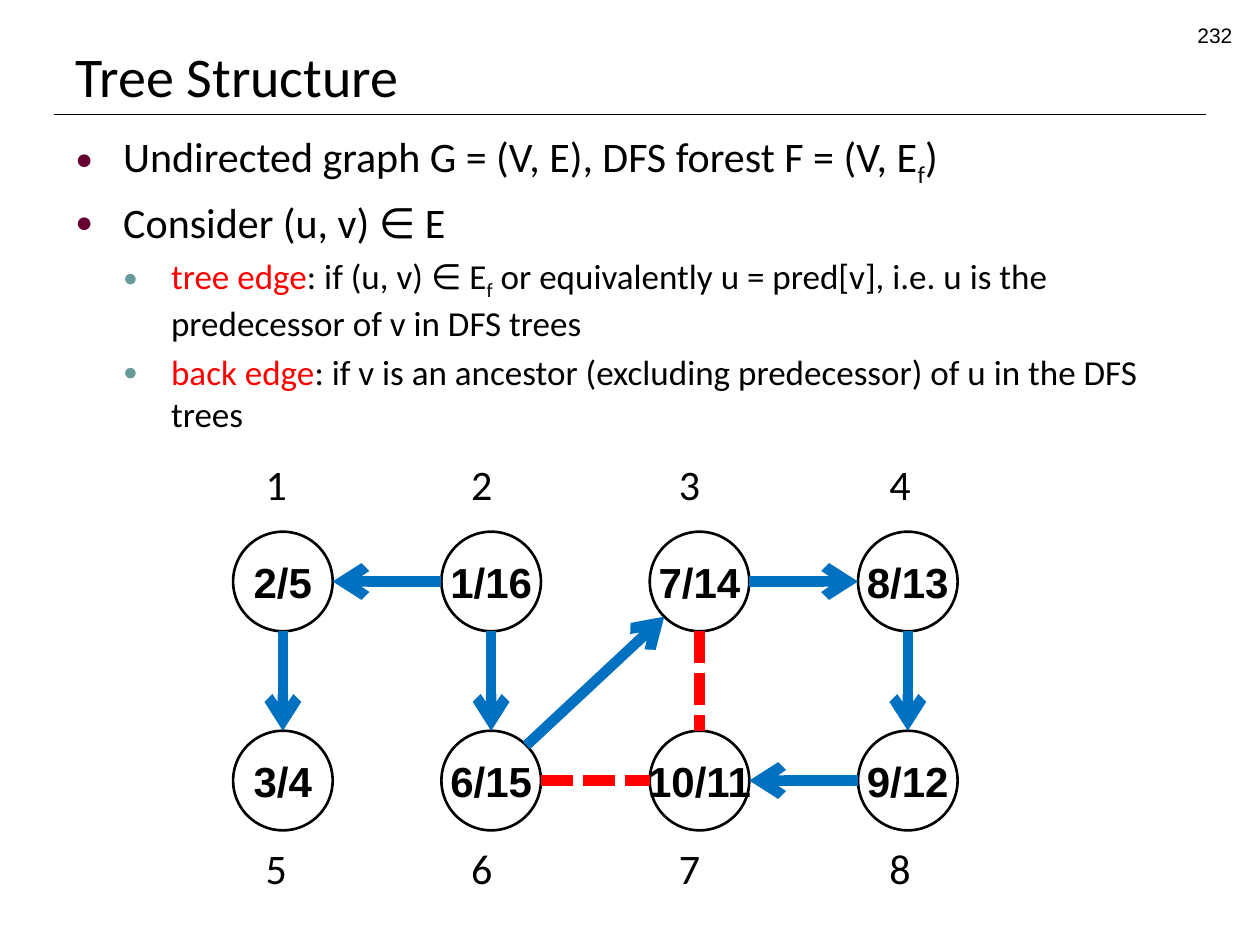
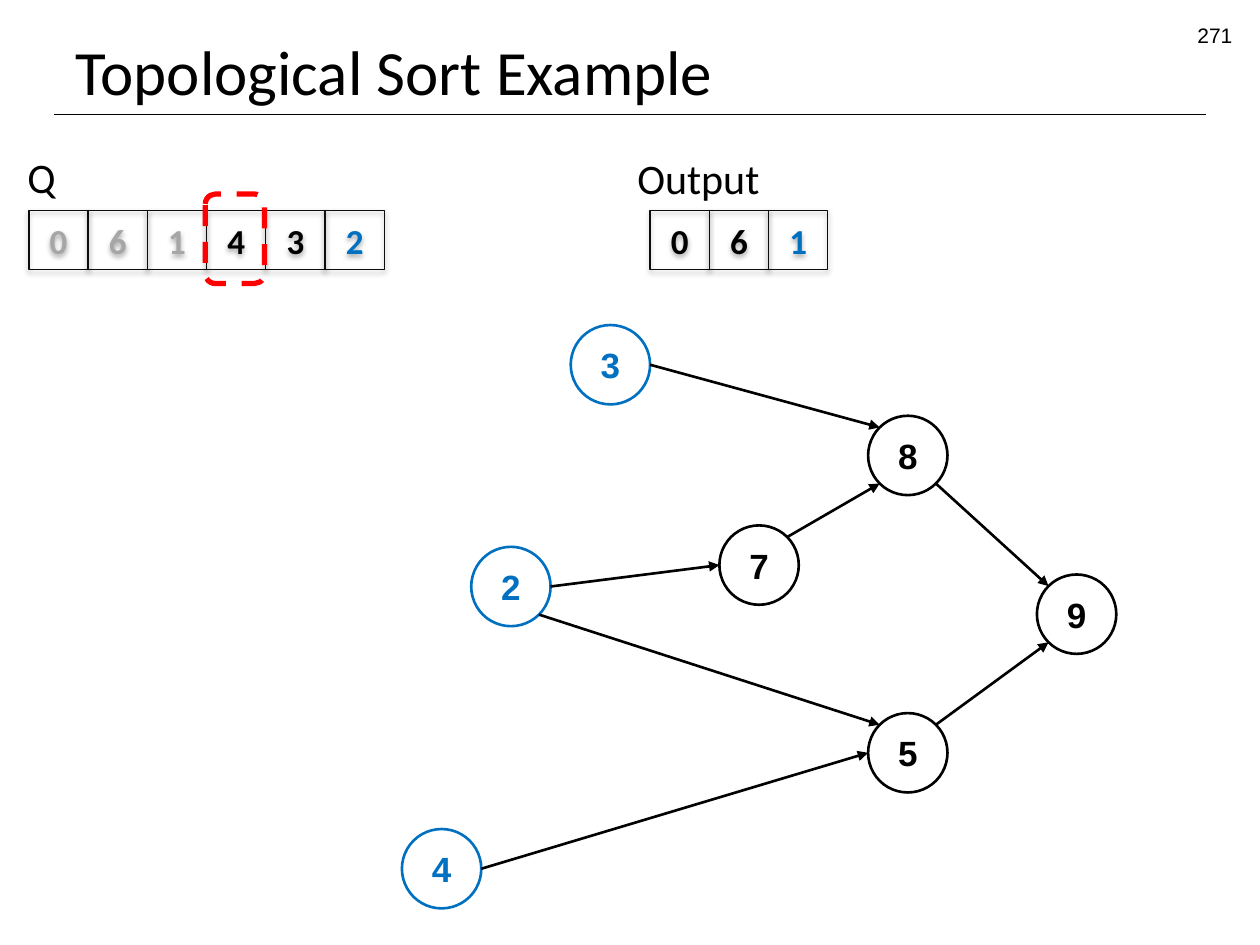
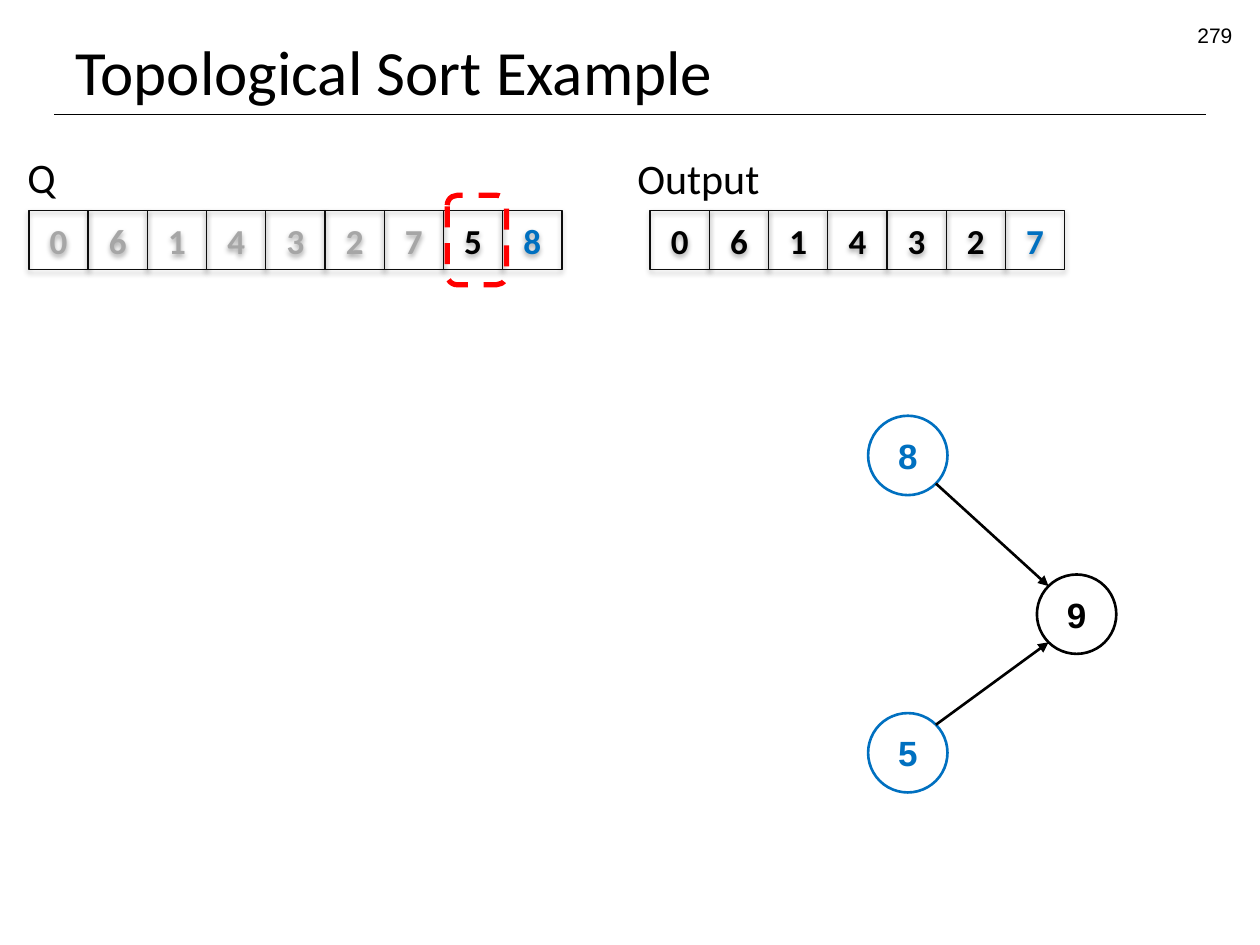
"""Build three slides on DFS tree structure and topological sorting."""
from math import sqrt

from lxml import etree
from pptx import Presentation
from pptx.dml.color import RGBColor
from pptx.enum.dml import MSO_LINE
from pptx.enum.shapes import MSO_CONNECTOR, MSO_SHAPE
from pptx.enum.text import MSO_ANCHOR, MSO_AUTO_SIZE, PP_ALIGN
from pptx.oxml.ns import qn
from pptx.util import Inches, Pt

STRAIGHT = MSO_CONNECTOR.STRAIGHT
OVAL, SQUARE, ROUNDED = MSO_SHAPE.OVAL, MSO_SHAPE.RECTANGLE, MSO_SHAPE.ROUNDED_RECTANGLE
DASH, SHORT_DASH = MSO_LINE.DASH, MSO_LINE.SQUARE_DOT
TOP, MIDDLE, BOTTOM = MSO_ANCHOR.TOP, MSO_ANCHOR.MIDDLE, MSO_ANCHOR.BOTTOM
LEFT, CENTER, RIGHT = PP_ALIGN.LEFT, PP_ALIGN.CENTER, PP_ALIGN.RIGHT
NO_FIT, GROW = MSO_AUTO_SIZE.NONE, MSO_AUTO_SIZE.SHAPE_TO_FIT_TEXT

COLORS = {
    "black": "000000", "cell": "0D0D0D", "gray": "A6A6A6", "blue": "0070C0",
    "red": "FF0000", "plum": "660033", "teal": "669999",
}

BULLETS = [
    (0, [("Undirected graph G = (V, E), DFS forest F = (V, E", ""), ("f", "sub"), (")", "")]),
    (0, [("Consider (u, v) ∈ E", "")]),
    (1, [("tree edge", "term"), (": if (u, v) ∈ E", ""), ("f", "sub"),
         (" or equivalently u = pred[v], i.e. u is the predecessor of v in DFS trees", "")]),
    (1, [("back edge", "term"),
         (": if v is an ancestor (excluding predecessor) of u in the DFS trees", "")]),
]
BULLET_LEVELS = [(24, "plum"), (20, "teal")]
BULLET_INDENT = 0.38

DFS_TIMES = [["2/5", "1/16", "7/14", "8/13"], ["3/4", "6/15", "10/11", "9/12"]]
DFS_SIZE = 0.79
DFS_FIRST, DFS_LAST = 1.85, 6.81
DFS_TOPS = [4.22, 5.8]
LABEL_LEFTS = [2.01, 3.64, 5.29, 6.96]
LABEL_TOPS = [3.59, 6.64]
TREE_EDGES = [
    (1, "S", 5, "N"), (2, "W", 1, "E"), (2, "S", 6, "N"), (6, "NE", 3, "SW"),
    (3, "E", 4, "W"), (4, "S", 8, "N"), (8, "W", 7, "E"),
]
BACK_EDGES = [(3, "S", 7, "N"), (6, "E", 7, "W")]

SORT_NODES = {
    9: (8.23, 4.56), 8: (6.89, 3.3), 5: (6.89, 5.66), 7: (5.71, 4.17),
    3: (4.53, 2.58), 2: (3.74, 4.34), 4: (3.19, 6.58),
}
SORT_SIZE = 0.63
SORT_EDGES = [
    (2, "E", 7, "W"), (3, "E", 8, "NW"), (8, "SE", 9, "NW"), (7, "NE", 8, "SW"),
    (2, "SE", 5, "NW"), (4, "E", 5, "W"), (5, "NE", 9, "SW"),
]
CELL = 0.47
ROW_TOP = 1.67
QUEUE_LEFT, OUTPUT_LEFT = 0.23, 5.16
SORT_STEPS = [
    {"number": 271, "done": "061", "waiting": "43", "added": "2", "output": "06",
     "latest": "1", "nodes": [9, 8, 5, 7, 3, 2, 4], "ready": [3, 2, 4],
     "highlight": (1.63, 1.54)},
    {"number": 279, "done": "0614327", "waiting": "5", "added": "8", "output": "061432",
     "latest": "7", "nodes": [9, 8, 5], "ready": [8, 5], "highlight": (3.55, 1.55)},
]


def rgb(name):
    return RGBColor.from_string(COLORS[name])


def add_element(parent, tag, **attributes):
    element = etree.SubElement(parent, qn(tag))
    for name, value in attributes.items():
        element.set(name, str(value))
    return element


def style_font(font, size, color="black", face="Calibri", bold=False):
    font.size, font.name, font.bold = Pt(size), face, bold
    font.color.rgb = rgb(color)


def write(shape, text, size, color="black", face="Calibri", bold=False,
          align=LEFT, anchor=TOP, wrap=False, fit=NO_FIT):
    frame = shape.text_frame
    frame.auto_size, frame.word_wrap, frame.vertical_anchor = fit, wrap, anchor
    para = frame.paragraphs[0]
    para.alignment = align
    span = para.add_run()
    span.text = text
    style_font(span.font, size, color, face, bold)


def add_text(page, text, left, top, width, height, size, **text_format):
    box = page.shapes.add_textbox(Inches(left), Inches(top), Inches(width), Inches(height))
    write(box, text, size, **text_format)


def add_outline(page, kind, left, top, width, height, color, weight):
    shape = page.shapes.add_shape(kind, Inches(left), Inches(top), Inches(width), Inches(height))
    shape.fill.background()
    shape.line.color.rgb = rgb(color)
    shape.line.width = Pt(weight)
    shape.shadow.inherit = False
    return shape


def add_line(page, start, end, color="black", weight=1.5, arrow=None, dash=None):
    line = page.shapes.add_connector(STRAIGHT, *(Inches(value) for value in (*start, *end)))
    line.line.color.rgb = rgb(color)
    line.line.width = Pt(weight)
    if dash:
        line.line.dash_style = dash
    properties = line._element.spPr
    if arrow:
        add_element(properties.find(qn("a:ln")), "a:tailEnd", type=arrow)
    add_element(properties, "a:effectLst")


def add_node(page, text, place, diameter, size, color="black"):
    node = add_outline(page, OVAL, *place, diameter, diameter, color, 1.5)
    write(node, text, size, color=color, face="Arial", bold=True, align=CENTER, anchor=MIDDLE)


def find_site(place, diameter, side):
    across = ("E" in side) - ("W" in side)
    down = ("S" in side) - ("N" in side)
    reach = diameter / 2 / sqrt(across ** 2 + down ** 2)
    return place[0] + diameter / 2 + across * reach, place[1] + diameter / 2 + down * reach


def add_edges(page, edges, places, diameter, **line_format):
    for source, source_side, target, target_side in edges:
        if source in places and target in places:
            add_line(page, find_site(places[source], diameter, source_side),
                     find_site(places[target], diameter, target_side), **line_format)


def add_page(deck, title, title_size, number):
    page = deck.slides.add_slide(deck.slide_layouts[5])
    add_line(page, (0.43, 0.91), (9.57, 0.91), weight=0.75)
    heading = page.shapes.title
    heading.left, heading.top = Inches(0.5), Inches(0.13)
    heading.width, heading.height = Inches(9), Inches(0.78)
    write(heading, title, title_size, anchor=BOTTOM, wrap=True)
    add_text(page, str(number), 7.55, 0.13, 2.33, 0.28, 12, face="Arial", align=RIGHT, wrap=True)
    return page


def add_bullets(page):
    box = page.shapes.add_textbox(Inches(0.5), Inches(0.99), Inches(9), Inches(6.3))
    frame = box.text_frame
    frame.word_wrap = True
    for index, (level, spans) in enumerate(BULLETS):
        para = frame.add_paragraph() if index else frame.paragraphs[0]
        size, bullet_color = BULLET_LEVELS[level]
        properties = para._p.get_or_add_pPr()
        properties.set("marL", str(Inches(BULLET_INDENT * (level + 1))))
        properties.set("indent", str(-Inches(BULLET_INDENT)))
        add_element(add_element(properties, "a:buClr"), "a:srgbClr", val=COLORS[bullet_color])
        add_element(properties, "a:buSzPct", val=70000)
        add_element(properties, "a:buFont", typeface="Arial")
        add_element(properties, "a:buChar", char="●")
        para.level = level
        if index:
            para.space_before = Pt(size * 0.2)
        for text, role in spans:
            span = para.add_run()
            span.text = text
            style_font(span.font, size, "red" if role == "term" else "black")
            if role == "sub":
                span._r.get_or_add_rPr().set("baseline", "-25000")


def add_tree_page(deck):
    page = add_page(deck, "Tree Structure", 32, 232)
    add_bullets(page)
    pitch = (DFS_LAST - DFS_FIRST) / (len(LABEL_LEFTS) - 1)
    places = {}
    for row, times in enumerate(DFS_TIMES):
        for column, time in enumerate(times):
            vertex = row * len(times) + column + 1
            places[vertex] = (DFS_FIRST + column * pitch, DFS_TOPS[row])
            add_node(page, time, places[vertex], DFS_SIZE, 24)
            add_text(page, str(vertex), LABEL_LEFTS[column], LABEL_TOPS[row], 0.37, 0.5, 24,
                     fit=GROW)
    add_edges(page, TREE_EDGES, places, DFS_SIZE, color="blue", weight=6, arrow="arrow")
    add_edges(page, BACK_EDGES, places, DFS_SIZE, color="red", weight=6, dash=SHORT_DASH)


def add_cells(page, left, groups):
    cells = [(digit, color) for digits, color in groups for digit in digits]
    for index, (digit, color) in enumerate(cells):
        cell = add_outline(page, SQUARE, left + index * CELL, ROW_TOP, CELL, CELL, "cell", 0.75)
        effects = cell._element.spPr.find(qn("a:effectLst"))
        shadow = add_element(effects, "a:outerShdw", blurRad=Pt(3.1), dist=Pt(1.8),
                             dir=5400000, rotWithShape=0)
        shade = add_element(shadow, "a:srgbClr", val=COLORS["black"])
        add_element(shade, "a:alpha", val=35000)
        write(cell, digit, 20, color=color, bold=True, align=CENTER, anchor=MIDDLE)


def add_sort_page(deck, step):
    page = add_page(deck, "Topological Sort Example", 36, step["number"])
    add_text(page, "Q", 0.12, 1.15, 0.43, 0.5, 24, fit=GROW)
    add_text(page, "Output", 4.96, 1.16, 1.18, 0.5, 24, fit=GROW)
    places = {vertex: SORT_NODES[vertex] for vertex in step["nodes"]}
    for vertex, place in places.items():
        color = "blue" if vertex in step["ready"] else "black"
        add_node(page, str(vertex), place, SORT_SIZE, 20, color)
    add_edges(page, SORT_EDGES, places, SORT_SIZE, arrow="triangle")
    add_cells(page, QUEUE_LEFT, [(step["done"], "gray"), (step["waiting"], "black"),
                                 (step["added"], "blue")])
    add_cells(page, OUTPUT_LEFT, [(step["output"], "black"), (step["latest"], "blue")])
    highlight = add_outline(page, ROUNDED, *step["highlight"], CELL, 0.71, "red", 3)
    highlight.line.dash_style = DASH


def main():
    deck = Presentation()
    deck.slide_width, deck.slide_height = Inches(10), Inches(7.5)
    add_tree_page(deck)
    for step in SORT_STEPS:
        add_sort_page(deck, step)
    deck.save("out.pptx")


if __name__ == "__main__":
    main()
